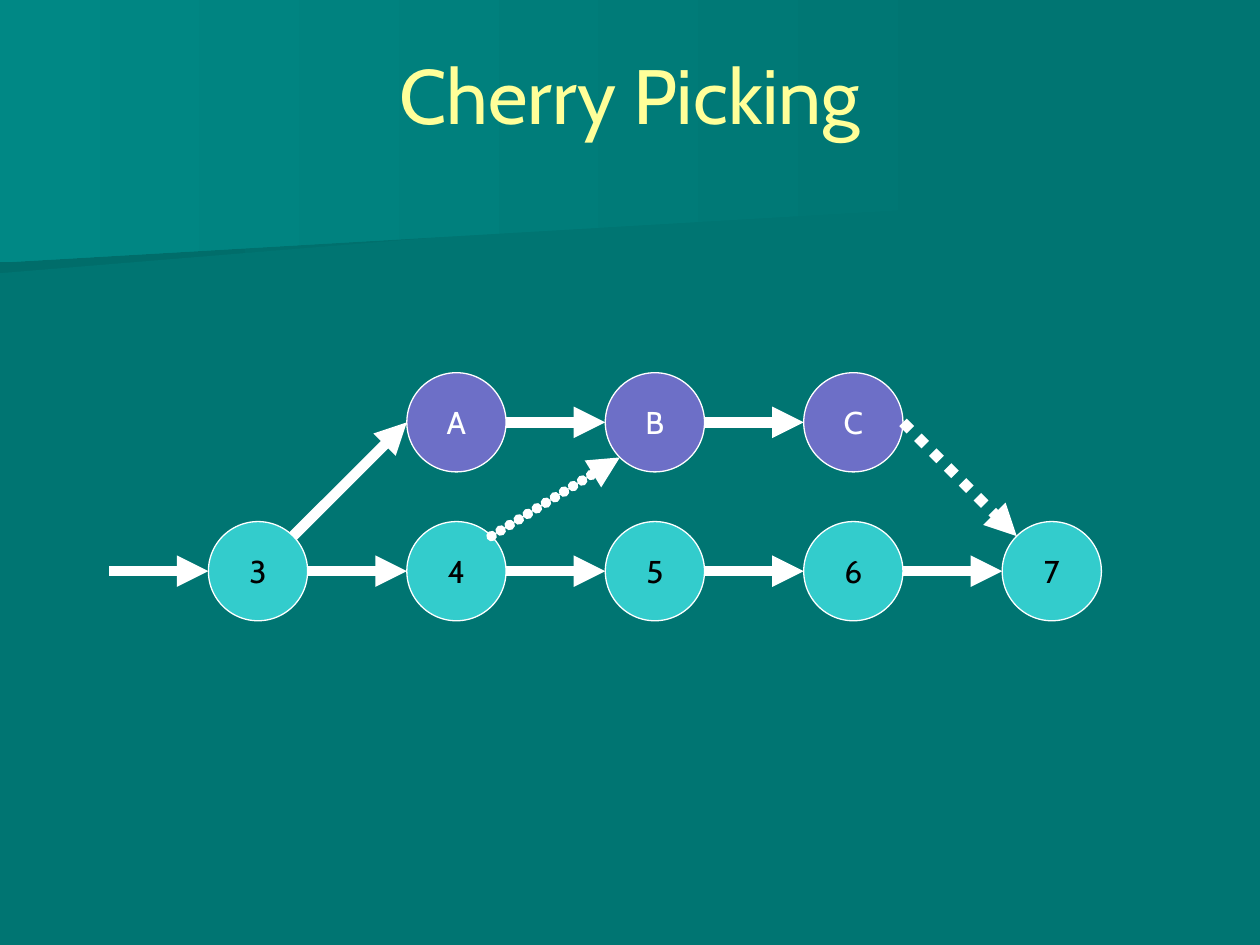
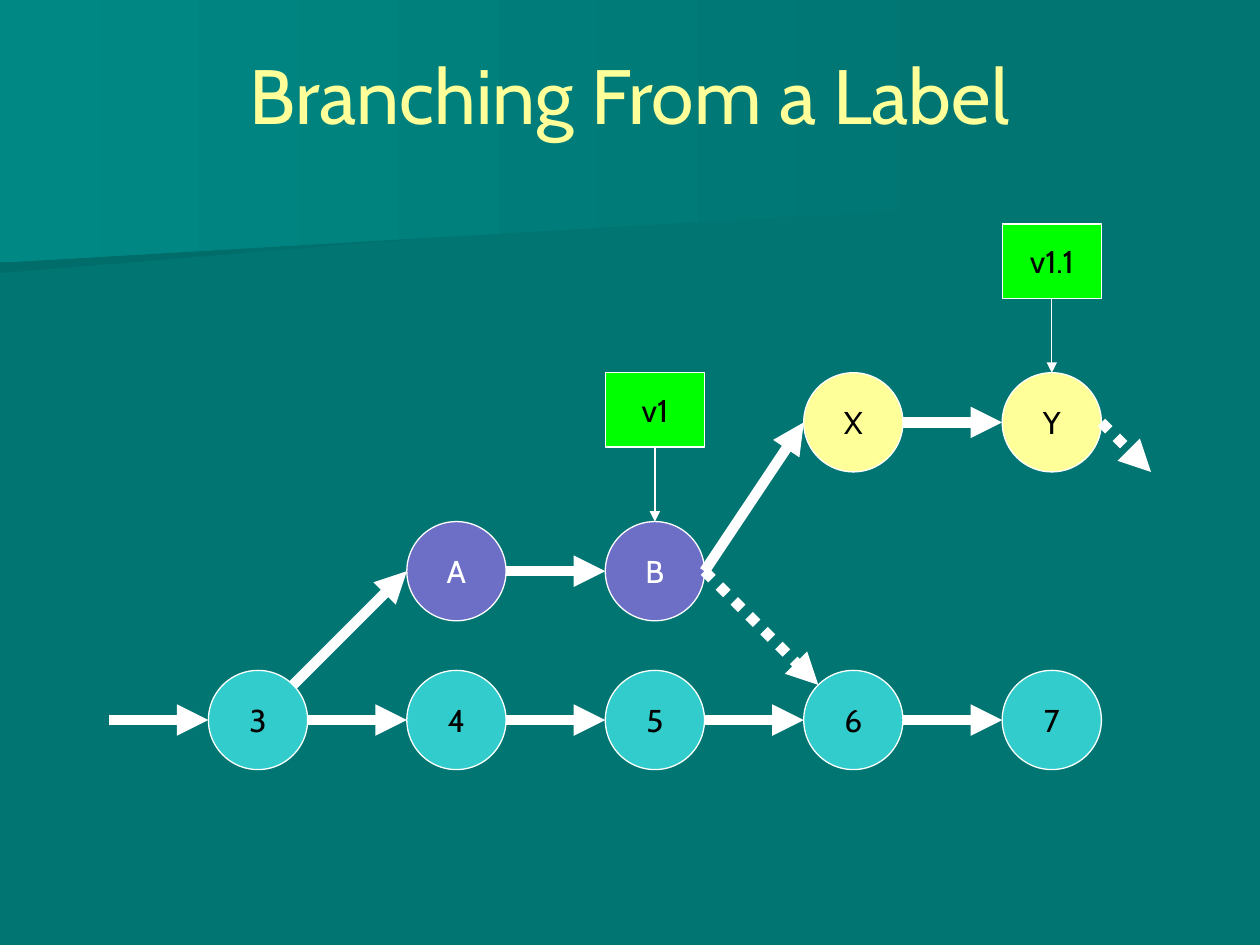
"""Builds two slides of version-history diagrams."""
from math import sqrt

from lxml.etree import SubElement
from pptx import Presentation
from pptx.dml.color import RGBColor
from pptx.enum.dml import MSO_LINE
from pptx.enum.shapes import MSO_CONNECTOR, MSO_SHAPE
from pptx.enum.text import MSO_ANCHOR, PP_ALIGN
from pptx.oxml.ns import qn
from pptx.util import Pt

TEAL = RGBColor(0x00, 0x75, 0x72)
DARK_TEAL = RGBColor(0x00, 0x6D, 0x6A)
LIGHT_TEAL = RGBColor(0x00, 0x88, 0x85)
AQUA = RGBColor(0x33, 0xCC, 0xCC)
VIOLET = RGBColor(0x6D, 0x6F, 0xC7)
YELLOW = RGBColor(0xFF, 0xFF, 0x99)
GREEN = RGBColor(0x00, 0xFF, 0x00)
WHITE = RGBColor(0xFF, 0xFF, 0xFF)
BLACK = RGBColor(0x00, 0x00, 0x00)
FONT = "Cabin"

BANDS = [
    (DARK_TEAL, [(560.2, 110.2), (0, 156.2), (0, 72.7), (560.9, 72.7), (560.2, 92.2)]),
    (LIGHT_TEAL, [(570.2, 116.6), (0, 149.8), (0, 0), (570.2, 0)]),
]

# Chains: names, fill, text colour, first column, row.
# Links: (node, side) or (column, row) at either end, then the style.
SLIDES = [
    {
        "title": "Cherry Picking",
        "chains": [("34567", AQUA, BLACK, 0, 1), ("ABC", VIOLET, WHITE, 1, 0)],
        "labels": [],
        "links": [
            ((-0.75, 1), ("3", "W"), "solid"),
            (("3", "NE"), ("A", "W"), "solid"),
            (("C", "E"), ("7", "NW"), "squares"),
            (("4", "NE"), ("B", "SW"), "beads"),
        ],
    },
    {
        "title": "Branching From a Label",
        "chains": [("34567", AQUA, BLACK, 0, 2), ("AB", VIOLET, WHITE, 1, 1),
                   ("XY", YELLOW, BLACK, 3, 0)],
        "labels": [("v1", "B"), ("v1.1", "Y")],
        "links": [
            ((-0.75, 2), ("3", "W"), "solid"),
            (("3", "NE"), ("A", "W"), "solid"),
            (("B", "E"), ("6", "NW"), "squares"),
            (("B", "E"), ("X", "W"), "solid"),
            (("Y", "E"), (4.5, 1 / 3), "squares"),
        ],
    },
]

SIZE = 56.7
COL_STEP, ROW_STEP = 2 * SIZE, 1.5 * SIZE
LEFT, TOP = 119.1, 213
DIAG = sqrt(0.5)
SIDES = {"E": (1, 0), "W": (-1, 0), "NE": (DIAG, -DIAG),
         "NW": (-DIAG, -DIAG), "SW": (-DIAG, DIAG)}


def write(sp, text, size=18, color=BLACK, wrap=False):
    tf = sp.text_frame
    tf.word_wrap = wrap
    tf.vertical_anchor = MSO_ANCHOR.MIDDLE
    p = tf.paragraphs[0]
    p.alignment = PP_ALIGN.CENTER
    r = p.add_run()
    r.text = text
    r.font.name, r.font.size = FONT, Pt(size)
    r.font.color.rgb = color


def add_band(s, color, points):
    fb = s.shapes.build_freeform(*points[0], scale=Pt(1))
    fb.add_line_segments(points[1:], close=True)
    sp = fb.convert_to_shape()
    sp.shadow.inherit = False
    sp.line.fill.background()
    sp.fill.gradient()
    sp.fill.gradient_angle = 180
    for stop, rgb in zip(sp.fill.gradient_stops, (TEAL, color)):
        stop.color.rgb = rgb


def add_box(s, kind, col, row, height, text, fill, color=BLACK):
    sp = s.shapes.add_shape(kind, Pt(LEFT + col * COL_STEP), Pt(TOP + row * ROW_STEP),
                            Pt(SIZE), Pt(height))
    sp.shadow.inherit = False
    sp.fill.solid()
    sp.fill.fore_color.rgb = fill
    sp.line.color.rgb = WHITE
    sp.line.width = Pt(0.75)
    write(sp, text, color=color)
    return sp


def add_arrow(s, start, end, width=6, style="solid"):
    cn = s.shapes.add_connector(MSO_CONNECTOR.STRAIGHT, *map(Pt, start + end))
    cn.line.color.rgb = WHITE
    cn.line.width = Pt(width)
    ln = cn.line._get_or_add_ln()
    if style == "squares":
        cn.line.dash_style = MSO_LINE.ROUND_DOT
        ln.find(qn("a:prstDash")).set("val", "sysDot")
    elif style == "beads":
        ln.set("cap", "rnd")
        dash = SubElement(ln, qn("a:custDash"))
        SubElement(dash, qn("a:ds"), d="100000", sp="1000")
    SubElement(ln, qn("a:tailEnd"), type="triangle")
    SubElement(cn._element.spPr, qn("a:effectLst"))
    return cn


def grid_center(col, row):
    return LEFT + col * COL_STEP + SIZE / 2, TOP + row * ROW_STEP + SIZE / 2


def end_point(end, cells):
    if end[0] not in cells:
        return grid_center(*end)
    x, y = grid_center(*cells[end[0]])
    dx, dy = SIDES[end[1]]
    return x + dx * SIZE / 2, y + dy * SIZE / 2


def build_slide(prs, title, chains, labels, links):
    s = prs.slides.add_slide(prs.slide_layouts[6])
    s.background.fill.solid()
    s.background.fill.fore_color.rgb = TEAL
    for color, points in BANDS:
        add_band(s, color, points)
    box = s.shapes.add_textbox(Pt(36), Pt(21.6), Pt(648), Pt(64))
    write(box, title, size=44, color=YELLOW, wrap=True)

    cells, nodes, steps = {}, {}, []
    for names, fill, color, first, row in chains:
        for col, name in enumerate(names, first):
            cells[name] = col, row
            nodes[name] = add_box(s, MSO_SHAPE.OVAL, col, row, SIZE, name, fill, color)
        steps += [((a, "E"), (b, "W"), "solid") for a, b in zip(names, names[1:])]
    for start, end, style in steps + links:
        add_arrow(s, end_point(start, cells), end_point(end, cells), style=style)

    for text, name in labels:
        col, row = cells[name]
        label = add_box(s, MSO_SHAPE.RECTANGLE, col, row - 1, 0.75 * SIZE, text, GREEN)
        cn = add_arrow(s, (0, 0), (0, 0), width=0.75)
        cn.begin_connect(label, 2)
        cn.end_connect(nodes[name], 0)


def main():
    prs = Presentation()
    prs.slide_width, prs.slide_height = Pt(720), Pt(540)
    for content in SLIDES:
        build_slide(prs, **content)
    prs.save("out.pptx")


if __name__ == "__main__":
    main()
